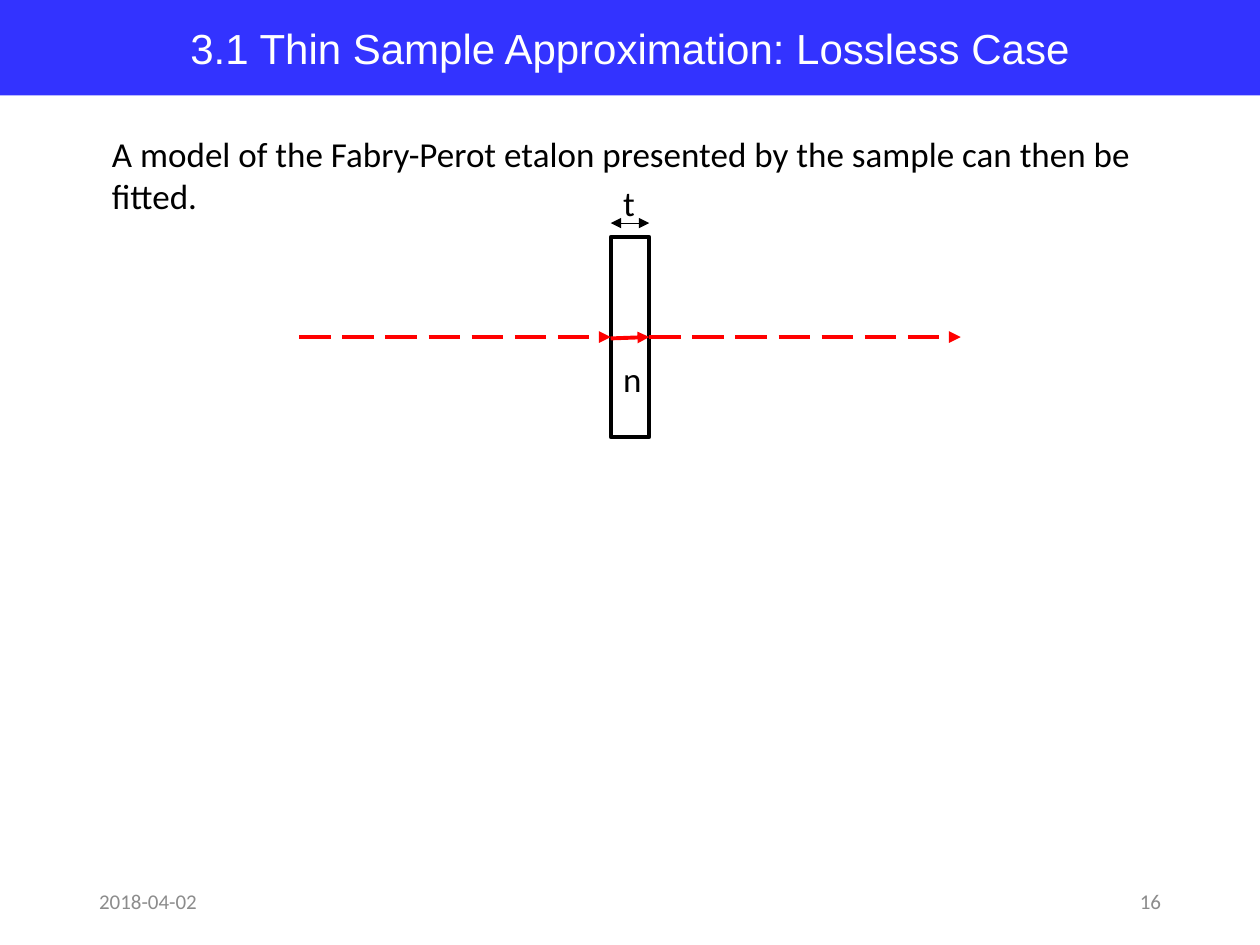
"""Build the thin sample approximation slide with its etalon diagram."""
from dataclasses import dataclass

from lxml.etree import SubElement
from pptx import Presentation
from pptx.dml.color import RGBColor
from pptx.enum.dml import MSO_LINE
from pptx.enum.shapes import MSO_CONNECTOR, MSO_SHAPE
from pptx.enum.text import MSO_ANCHOR, PP_ALIGN
from pptx.oxml.ns import qn
from pptx.util import Pt

BLACK, WHITE, RED, BLUE, GREY = "000000", "FFFFFF", "FF0000", "3333FF", "8C8C8C"
SLAB_LEFT, SLAB_TOP, SLAB_W, SLAB_H = 349, 135.4, 22, 114.4
SLAB_RIGHT = SLAB_LEFT + SLAB_W
BEAM_Y = SLAB_TOP + SLAB_H / 2
BEAM_LENGTH = 178


@dataclass
class Label:
    text: str
    left: float
    top: float
    width: float
    height: float
    size: float = 20
    color: str = BLACK
    align: PP_ALIGN = PP_ALIGN.LEFT
    anchor: MSO_ANCHOR = MSO_ANCHOR.TOP


@dataclass
class Arrow:
    x1: float
    y1: float
    x2: float
    y2: float
    color: str = RED
    width: float = 2.25
    dashed: bool = True
    ends: tuple = ("tailEnd",)
    from_site: int | None = None
    to_site: int | None = None


LABELS = [
    Label("2018-04-02", 49.5, 500.5, 162, 28.75, 12, GREY, anchor=MSO_ANCHOR.MIDDLE),
    Label("16", 508.5, 500.5, 162, 28.75, 12, GREY, PP_ALIGN.RIGHT, MSO_ANCHOR.MIDDLE),
    Label("A model of the Fabry-Perot etalon presented by the sample can then be fitted.",
          56.9, 72, 613.4, 55.7),
    Label("t", SLAB_LEFT, 100, SLAB_W, 31.5),
    Label("n", SLAB_LEFT, 201, SLAB_W, 31.5),
]

ARROWS = [
    Arrow(SLAB_LEFT, 127.5, SLAB_RIGHT, 127.5, BLACK, 0.5, False, ("headEnd", "tailEnd")),
    Arrow(SLAB_LEFT - BEAM_LENGTH, BEAM_Y, SLAB_LEFT, BEAM_Y, to_site=1),
    Arrow(SLAB_RIGHT, BEAM_Y, SLAB_RIGHT + BEAM_LENGTH, BEAM_Y, from_site=3),
    Arrow(SLAB_LEFT, BEAM_Y + 0.8, SLAB_RIGHT, BEAM_Y, to_site=3),
]


def rgb(value: str) -> RGBColor:
    return RGBColor.from_string(value)


def write(s, text: str, size: float, color: str, font: str,
          align: PP_ALIGN, anchor: MSO_ANCHOR, wrap: bool = True) -> None:
    tf = s.text_frame
    tf.word_wrap = wrap
    tf.vertical_anchor = anchor
    p = tf.paragraphs[0]
    p.text = text
    p.alignment = align
    p.font.size = Pt(size)
    p.font.name = font
    p.font.color.rgb = rgb(color)


def add_rect(shapes, left: float, top: float, width: float, height: float):
    s = shapes.add_shape(MSO_SHAPE.RECTANGLE, Pt(left), Pt(top), Pt(width), Pt(height))
    s.shadow.inherit = False
    return s


def add_title(shapes, text: str) -> None:
    s = add_rect(shapes, 0, 0, 720, 54.5)
    s.fill.solid()
    s.fill.fore_color.rgb = rgb(BLUE)
    s.line.fill.background()
    write(s, text, 24, WHITE, "Arial", PP_ALIGN.CENTER, MSO_ANCHOR.MIDDLE, wrap=False)


def add_slab(shapes):
    s = add_rect(shapes, SLAB_LEFT, SLAB_TOP, SLAB_W, SLAB_H)
    s.fill.background()
    s.line.color.rgb = rgb(BLACK)
    s.line.width = Pt(2.25)
    return s


def add_label(shapes, label: Label) -> None:
    s = shapes.add_textbox(Pt(label.left), Pt(label.top), Pt(label.width), Pt(label.height))
    write(s, label.text, label.size, label.color, "Calibri", label.align, label.anchor)


def add_arrow(shapes, arrow: Arrow, slab) -> None:
    s = shapes.add_connector(MSO_CONNECTOR.STRAIGHT, Pt(arrow.x1), Pt(arrow.y1),
                             Pt(arrow.x2), Pt(arrow.y2))
    if arrow.from_site is not None:
        s.begin_connect(slab, arrow.from_site)
    if arrow.to_site is not None:
        s.end_connect(slab, arrow.to_site)
    s.line.color.rgb = rgb(arrow.color)
    s.line.width = Pt(arrow.width)
    if arrow.dashed:
        s.line.dash_style = MSO_LINE.LONG_DASH
    ln = s.line._get_or_add_ln()
    for end in arrow.ends:
        SubElement(ln, qn(f"a:{end}"), type="triangle")
    SubElement(s._element.spPr, qn("a:effectLst"))


def main() -> None:
    prs = Presentation()
    prs.slide_width, prs.slide_height = Pt(720), Pt(540)
    shapes = prs.slides.add_slide(prs.slide_layouts[6]).shapes
    add_title(shapes, "3.1 Thin Sample Approximation: Lossless Case")
    slab = add_slab(shapes)
    for arrow in ARROWS:
        add_arrow(shapes, arrow, slab)
    for label in LABELS:
        add_label(shapes, label)
    prs.save("out.pptx")


if __name__ == "__main__":
    main()
